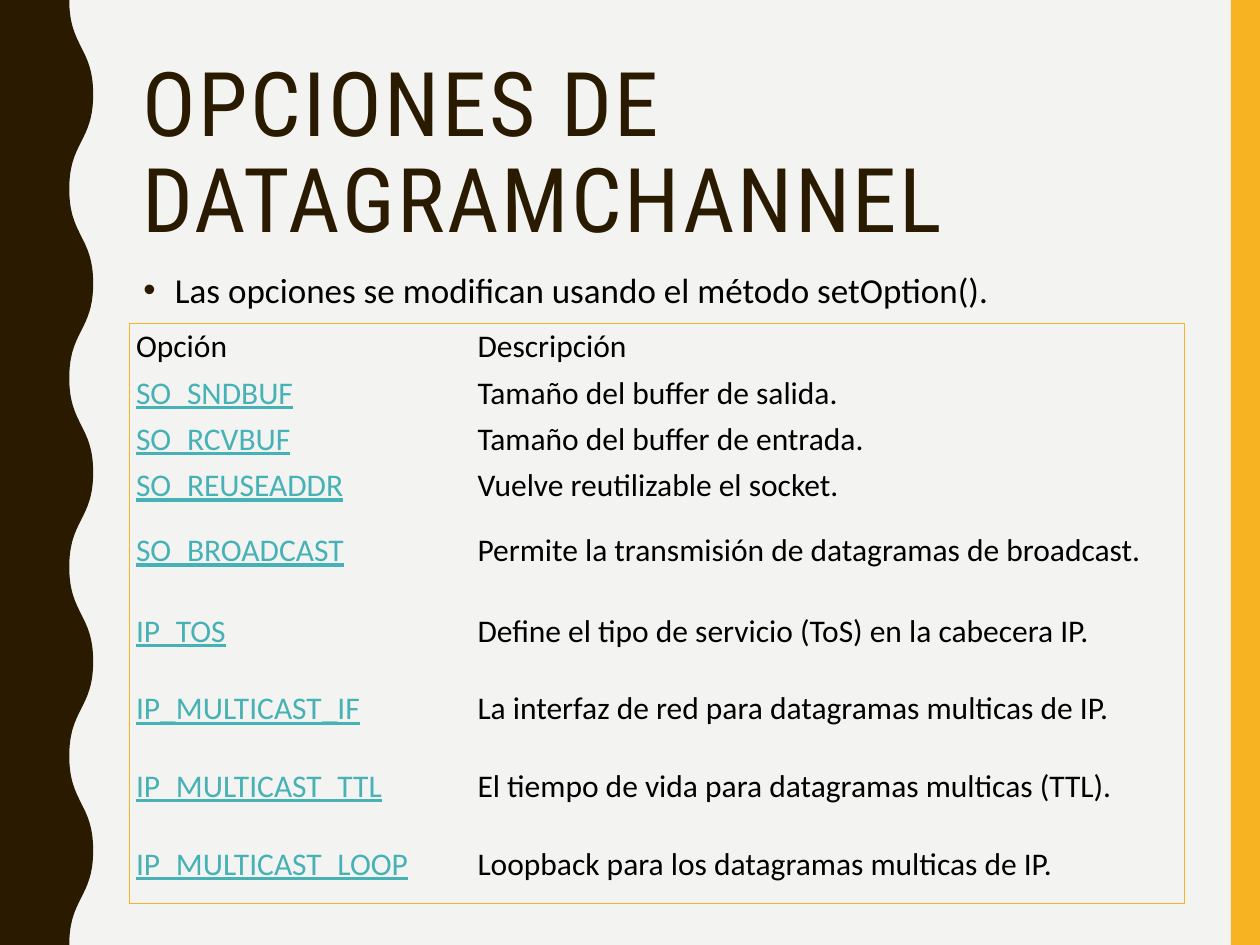
from lxml.etree import SubElement
from pptx import Presentation
from pptx.dml.color import RGBColor
from pptx.enum.shapes import MSO_SHAPE
from pptx.enum.text import MSO_ANCHOR, PP_ALIGN
from pptx.oxml.ns import qn
from pptx.util import Inches, Pt

COLORS = {
    "background": "F3F3F2",
    "brown": "2A1A00",
    "gold": "F8B323",
    "teal": "46B2B5",
    "black": "000000",
}
NO_GRID_STYLE = "{2D5ABB26-0587-4C30-8999-92F81FD0307C}"
COLUMN_WIDTHS = [2.71, 5.66]
TABLE_HEIGHT = 4.6
ROW_SHARES = [0.37] * 4 + [0.67] + [0.62] * 4
OPTIONS = [
    ("Opción", "Descripción"),
    ("SO_SNDBUF", "Tamaño del buffer de salida."),
    ("SO_RCVBUF", "Tamaño del buffer de entrada."),
    ("SO_REUSEADDR", "Vuelve reutilizable el socket."),
    ("SO_BROADCAST", "Permite la transmisión de datagramas de broadcast."),
    ("IP_TOS", "Define el tipo de servicio (ToS) en la cabecera IP."),
    ("IP_MULTICAST_IF", "La interfaz de red para datagramas multicas de IP."),
    ("IP_MULTICAST_TTL", "El tiempo de vida para datagramas multicas (TTL)."),
    ("IP_MULTICAST_LOOP", "Loopback para los datagramas multicas de IP."),
]


def color(name):
    return RGBColor.from_string(COLORS[name])


def add_run(para, text, size, font="Calibri", tint="black", underline=None):
    run = para.add_run()
    run.text = text
    run.font.size = Pt(size)
    run.font.name = font
    run.font.color.rgb = color(tint)
    run.font.underline = underline
    return run


def paint(shape, tint):
    shape.shadow.inherit = False
    shape.fill.solid()
    shape.fill.fore_color.rgb = color(tint)
    shape.line.fill.background()


def curve_segments(shape, points):
    lines = list(shape._element.iter(qn("a:lnTo")))
    for line, (x0, y0), (x1, y1) in zip(lines, points, points[1:]):
        middle = (y0 + y1) / 2
        line.tag = qn("a:cubicBezTo")
        line.remove(line[0])
        for x, y in [(x0, middle), (x1, middle), (x1, y1)]:
            SubElement(line, qn("a:pt"), x=str(Inches(x)), y=str(Inches(y)))


def add_wave(page, inner=0.55, outer=0.74, half_wave=0.75):
    points = [((inner, outer)[index % 2], index * half_wave) for index in range(11)]
    points += [(0, 7.5), (0, 0), (inner, 0)]
    corners = [(Inches(x), Inches(y)) for x, y in points]
    builder = page.shapes.build_freeform(*corners[0])
    builder.add_line_segments(corners[1:])
    wave = builder.convert_to_shape()
    curve_segments(wave, points)
    paint(wave, "brown")


def add_side_bar(page):
    bar = page.shapes.add_shape(
        MSO_SHAPE.RECTANGLE, Inches(9.77), 0, Inches(0.23), Inches(7.5)
    )
    paint(bar, "gold")


def set_title(page, text):
    title = page.shapes.title
    title.left, title.top = Inches(1.03), Inches(0.42)
    title.width, title.height = Inches(8.35), Inches(1.63)
    frame = title.text_frame
    frame.word_wrap = True
    frame.vertical_anchor = MSO_ANCHOR.MIDDLE
    para = frame.paragraphs[0]
    para.alignment = PP_ALIGN.LEFT
    para.line_spacing = 0.9
    run = add_run(para, text, 51, "Roboto Condensed", "brown")
    run.font._element.set("spc", "150")


def add_bullet(page, text):
    box = page.shapes.add_textbox(
        Inches(1.04), Inches(2.05), Inches(7.82), Inches(0.99)
    )
    box.text_frame.word_wrap = True
    para = box.text_frame.paragraphs[0]
    para.line_spacing = 1.1
    para.space_before = Pt(7)
    properties = para._p.get_or_add_pPr()
    properties.set("marL", str(Inches(0.25)))
    properties.set("indent", str(Inches(-0.25)))
    bullet_color = SubElement(properties, qn("a:buClr"))
    SubElement(bullet_color, qn("a:srgbClr"), val=COLORS["brown"])
    SubElement(properties, qn("a:buFont"), typeface="Arial")
    SubElement(properties, qn("a:buChar"), char="•")
    add_run(para, text, 20)


def add_border(cell, side):
    line = SubElement(cell._tc.get_or_add_tcPr(), qn(f"a:ln{side}"), w=str(Pt(0.5)))
    fill = SubElement(line, qn("a:solidFill"))
    SubElement(fill, qn("a:srgbClr"), val=COLORS["gold"])


def fill_cell(cell, text, is_link, sides):
    cell.margin_left = cell.margin_right = Inches(0.05)
    cell.margin_top = cell.margin_bottom = Inches(0.02)
    cell.vertical_anchor = MSO_ANCHOR.MIDDLE
    for side in sides:
        add_border(cell, side)
    cell.fill.background()
    para = cell.text_frame.paragraphs[0]
    if is_link:
        add_run(para, text, 18, tint="teal", underline=True)
        add_run(para, " ", 18)
    else:
        add_run(para, text, 18)


def add_options_table(page):
    frame = page.shapes.add_table(
        len(OPTIONS), len(COLUMN_WIDTHS), Inches(1.03), Inches(2.57),
        Inches(sum(COLUMN_WIDTHS)), Inches(TABLE_HEIGHT),
    )
    table = frame.table
    table.first_row = table.horz_banding = False
    table._tbl.tblPr.find(qn("a:tableStyleId")).text = NO_GRID_STYLE
    for column, width in zip(table.columns, COLUMN_WIDTHS):
        column.width = Inches(width)
    last = len(OPTIONS) - 1
    for row, (share, texts) in enumerate(zip(ROW_SHARES, OPTIONS)):
        table.rows[row].height = Inches(TABLE_HEIGHT * share / sum(ROW_SHARES))
        for column, text in enumerate(texts):
            sides = "LR"[column] + "T" * (row == 0) + "B" * (row == last)
            is_link = row > 0 and column == 0
            fill_cell(table.cell(row, column), text, is_link, sides)


def main():
    deck = Presentation()
    deck.slide_width, deck.slide_height = Inches(10), Inches(7.5)
    page = deck.slides.add_slide(deck.slide_layouts[5])
    page.background.fill.solid()
    page.background.fill.fore_color.rgb = color("background")
    add_side_bar(page)
    add_wave(page)
    set_title(page, "OPCIONES DE DATAGRAMCHANNEL")
    add_bullet(page, "Las opciones se modifican usando el método setOption().")
    add_options_table(page)
    deck.save("out.pptx")


if __name__ == "__main__":
    main()
